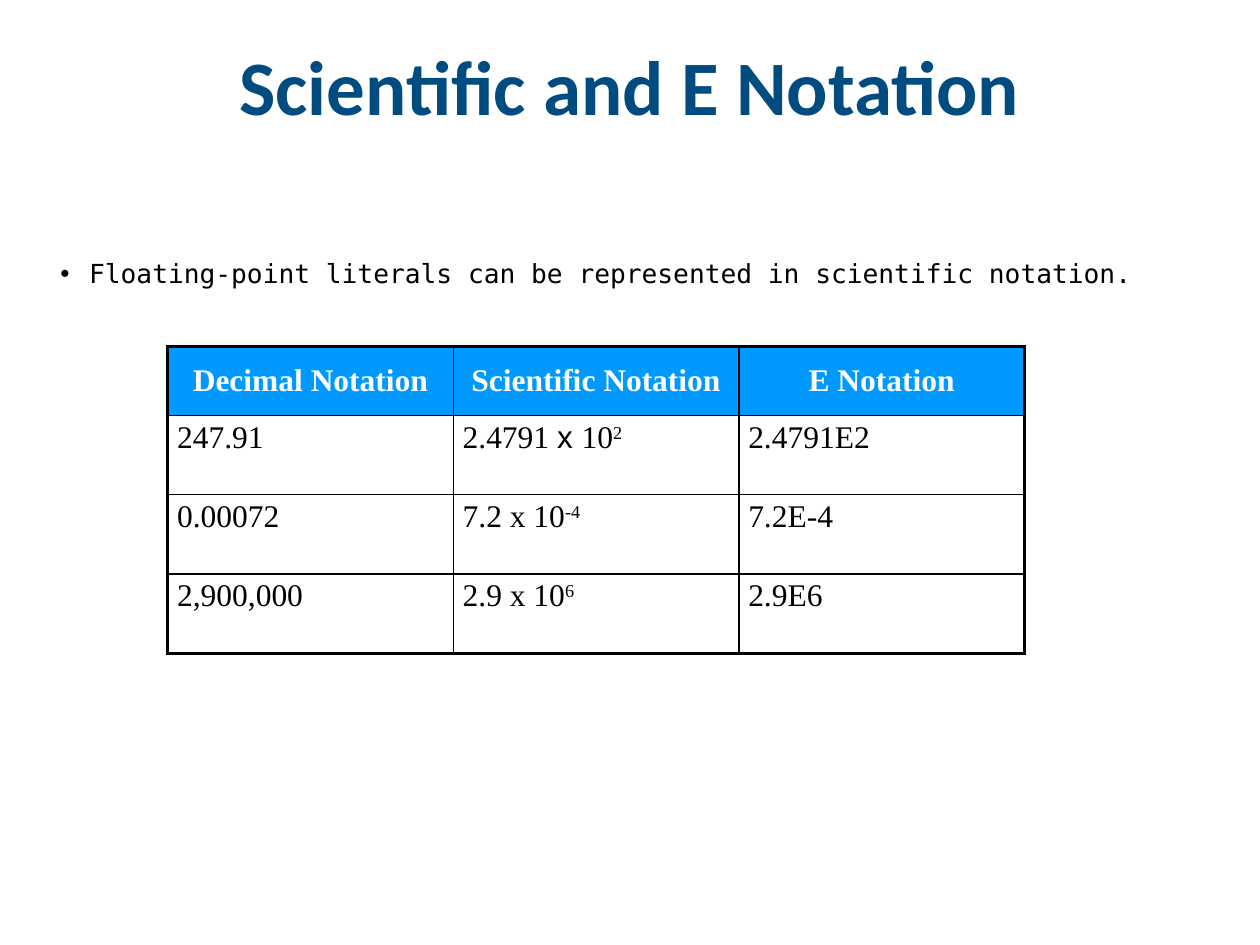
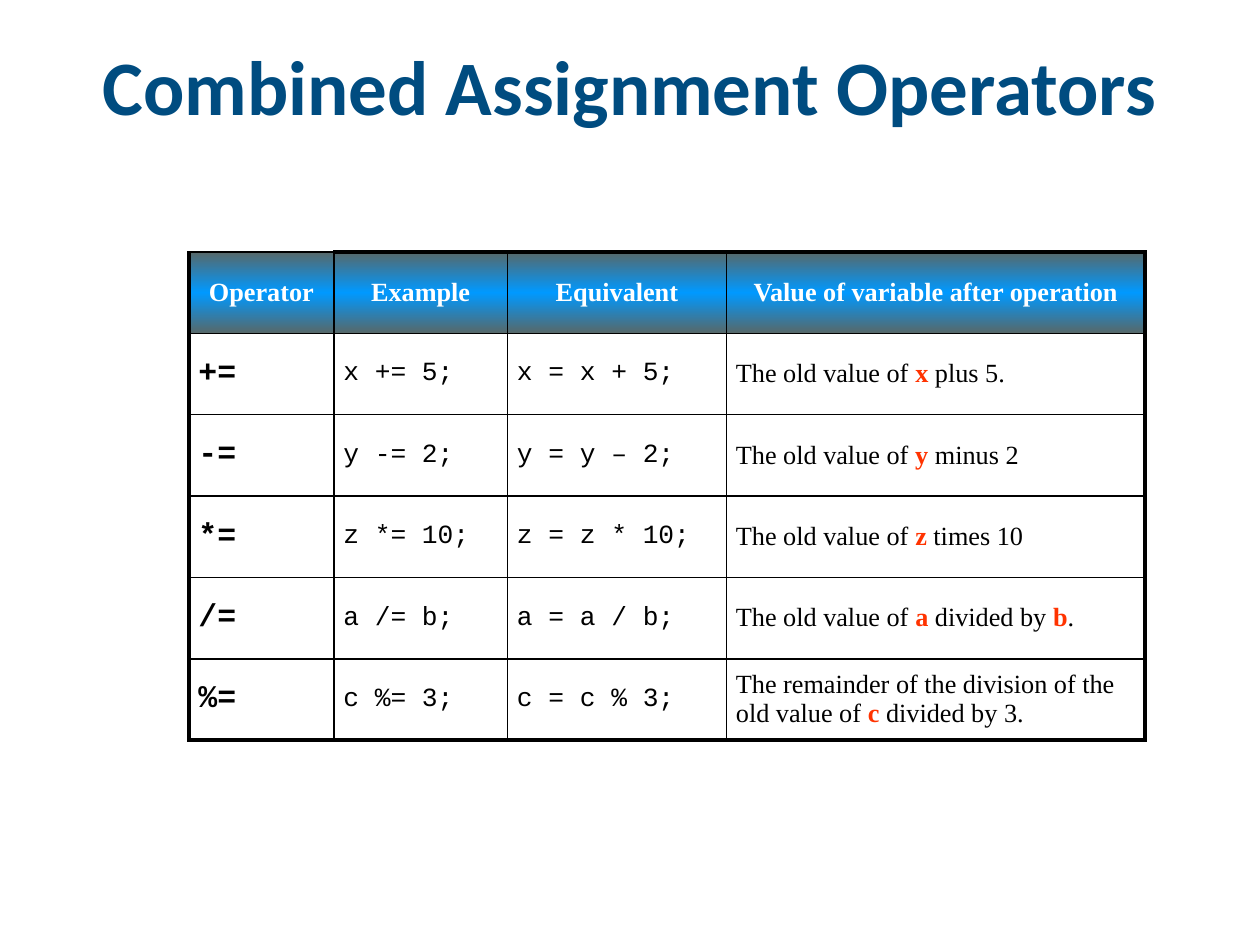
from lxml.etree import SubElement
from pptx import Presentation
from pptx.dml.color import RGBColor
from pptx.enum.text import MSO_ANCHOR, PP_ALIGN
from pptx.oxml.ns import qn
from pptx.util import Pt

COLORS = {"title": "004C80", "header": "0099FF", "edge": "576869", "text": "000000",
          "white": "FFFFFF", "variable": "FF3300", "line": "000000"}
SERIF, MONO = "Times New Roman", "Courier New"

# Text styles: font, size, colour, bold
STYLES = {
    "title": ("Calibri", 44, "title", True),
    "bullet": ("DejaVu Sans Mono", 15, "text", False),
    "large head": (SERIF, 18, "white", True),
    "number": (SERIF, 18, "text", False),
    "times sign": ("Arial", 18, "text", False),
    "power": (SERIF, 18, "text", False),
    "head": (SERIF, 15, "white", True),
    "operator": (MONO, 18, "text", True),
    "code": (MONO, 15, "text", False),
    "meaning": (SERIF, 15, "text", False),
    "variable": (SERIF, 15, "variable", True),
}

# Content: a cell is a string or a list of strings and (text, style) pairs
BULLET = "Floating-point literals can be represented in scientific notation."
NOTATION = {
    "header": ["Decimal Notation", "Scientific Notation", "E Notation"],
    "rows": [
        ["247.91", ["2.4791 ", ("x ", "times sign"), "10", ("2", "power")], "2.4791E2"],
        ["0.00072", ["7.2 x 10", ("-4", "power")], "7.2E-4"],
        ["2,900,000", ["2.9 x 10", ("6", "power")], "2.9E6"],
    ],
    "head style": "large head",
    "column styles": ["number"] * 3,
    "place": (95.8, 198),
    "widths": [163.2] * 3,
    "heights": [39.4] + [45.3] * 3,
    "anchor": MSO_ANCHOR.TOP,
    "gradient": False,
    "thin corner": False,
}
OPERATORS = {
    "header": ["Operator", "Example", "Equivalent", "Value of variable after operation"],
    "rows": [
        ["+=", "x += 5;", "x = x + 5;",
         ["The old value of ", ("x", "variable"), " plus 5."]],
        ["-=", "y -= 2;", "y = y – 2;",
         ["The old value of", (" y", "variable"), " minus 2"]],
        ["*=", "z *= 10;", "z = z * 10;",
         ["The old value of ", ("z", "variable"), " times 10"]],
        ["/=", "a /= b;", "a = a / b;",
         ["The old value of ", ("a", "variable"), " divided by ", ("b", "variable"), "."]],
        ["%=", "c %= 3;", "c = c % 3;",
         ["The remainder of the division of the old value of ", ("c", "variable"),
          " divided by 3."]],
    ],
    "head style": "head",
    "column styles": ["operator", "code", "code", "meaning"],
    "place": (108, 144),
    "widths": [82.8, 99.2, 125.2, 239.2],
    "heights": [46.5] * 6,
    "anchor": MSO_ANCHOR.MIDDLE,
    "gradient": True,
    "thin corner": True,
}
THICK, THIN = 2.25, 1


def rgb(name):
    return RGBColor.from_string(COLORS[name])


def format_span(span, style):
    name, size, color, bold = STYLES[style]
    span.font.name, span.font.size, span.font.bold = name, Pt(size), bold
    span.font.color.rgb = rgb(color)
    if style == "power":
        span._r.get_or_add_rPr().set("baseline", "30000")


def write(para, content, style):
    for part in [content] if isinstance(content, str) else content:
        text, part_style = (part, style) if isinstance(part, str) else part
        span = para.add_run()
        span.text = text
        format_span(span, part_style)


def add_page(deck, title):
    page = deck.slides.add_slide(deck.slide_layouts[5])
    box = page.shapes.title
    box.left, box.top, box.width, box.height = Pt(36), Pt(12.24), Pt(648), Pt(72)
    box.text_frame.text = title
    box.text_frame.vertical_anchor = MSO_ANCHOR.MIDDLE
    para = box.text_frame.paragraphs[0]
    para.alignment = PP_ALIGN.CENTER
    format_span(para.runs[0], "title")
    return page


def add_bullet(page, text):
    box = page.shapes.add_textbox(Pt(27.36), Pt(134.64), Pt(653.76), Pt(31.68))
    box.text_frame.word_wrap = True
    para = box.text_frame.paragraphs[0]
    para.line_spacing = 1.5
    properties = para._p.get_or_add_pPr()
    properties.set("marL", str(Pt(16.5)))
    properties.set("indent", str(-Pt(16.5)))
    SubElement(properties, qn("a:buFont"), typeface="Arial")
    SubElement(properties, qn("a:buChar"), char="•")
    write(para, text, "bullet")


def add_color(parent, name):
    fill = SubElement(parent, qn("a:solidFill"))
    SubElement(fill, qn("a:srgbClr"), val=COLORS[name])


def set_borders(cell, widths):
    for side, width in zip("LRTB", widths):
        line = SubElement(cell._tc.get_or_add_tcPr(), qn(f"a:ln{side}"), w=str(Pt(width)))
        add_color(line, "line")


def set_gradient(cell):
    gradient = SubElement(cell._tc.get_or_add_tcPr(), qn("a:gradFill"), rotWithShape="1")
    stops = SubElement(gradient, qn("a:gsLst"))
    for percent, name in [(0, "edge"), (50, "header"), (100, "edge")]:
        stop = SubElement(stops, qn("a:gs"), pos=str(percent * 1000))
        SubElement(stop, qn("a:srgbClr"), val=COLORS[name])
    SubElement(gradient, qn("a:lin"), ang=str(90 * 60000), scaled="1")


def fill_cell(cell, is_header, gradient):
    if not is_header:
        cell.fill.background()
    elif gradient:
        set_gradient(cell)
    else:
        cell.fill.solid()
        cell.fill.fore_color.rgb = rgb("header")


def add_grid(page, data):
    rows = [data["header"]] + data["rows"]
    widths, heights = data["widths"], data["heights"]
    left, top = data["place"]
    table = page.shapes.add_table(len(rows), len(widths), Pt(left), Pt(top),
                                  Pt(sum(widths)), Pt(sum(heights))).table
    table.first_row = table.horz_banding = False
    for column, width in zip(table.columns, widths):
        column.width = Pt(width)
    for row, height in zip(table.rows, heights):
        row.height = Pt(height)

    last_row, last_column = len(rows) - 1, len(widths) - 1
    for r, row in enumerate(rows):
        for c, content in enumerate(row):
            cell, is_header = table.cell(r, c), r == 0
            cell.margin_left = cell.margin_right = Pt(5.4)
            cell.margin_top = cell.margin_bottom = Pt(2.7)
            cell.vertical_anchor = MSO_ANCHOR.MIDDLE if is_header else data["anchor"]
            para = cell.text_frame.paragraphs[0]
            para.alignment = PP_ALIGN.CENTER if is_header else PP_ALIGN.LEFT
            write(para, content, data["head style"] if is_header else data["column styles"][c])

            # Thick outer frame, thin inner lines
            thick_top = is_header and not (c == 0 and data["thin corner"])
            outer = (c == 0, c == last_column, thick_top, r == last_row)
            set_borders(cell, [THICK if edge else THIN for edge in outer])
            fill_cell(cell, is_header, data["gradient"])


def main():
    deck = Presentation()
    deck.slide_width, deck.slide_height = Pt(720), Pt(540)

    page = add_page(deck, "Scientific and E Notation")
    add_bullet(page, BULLET)
    add_grid(page, NOTATION)

    page = add_page(deck, "Combined Assignment Operators")
    add_grid(page, OPERATORS)

    deck.save("out.pptx")


if __name__ == "__main__":
    main()
